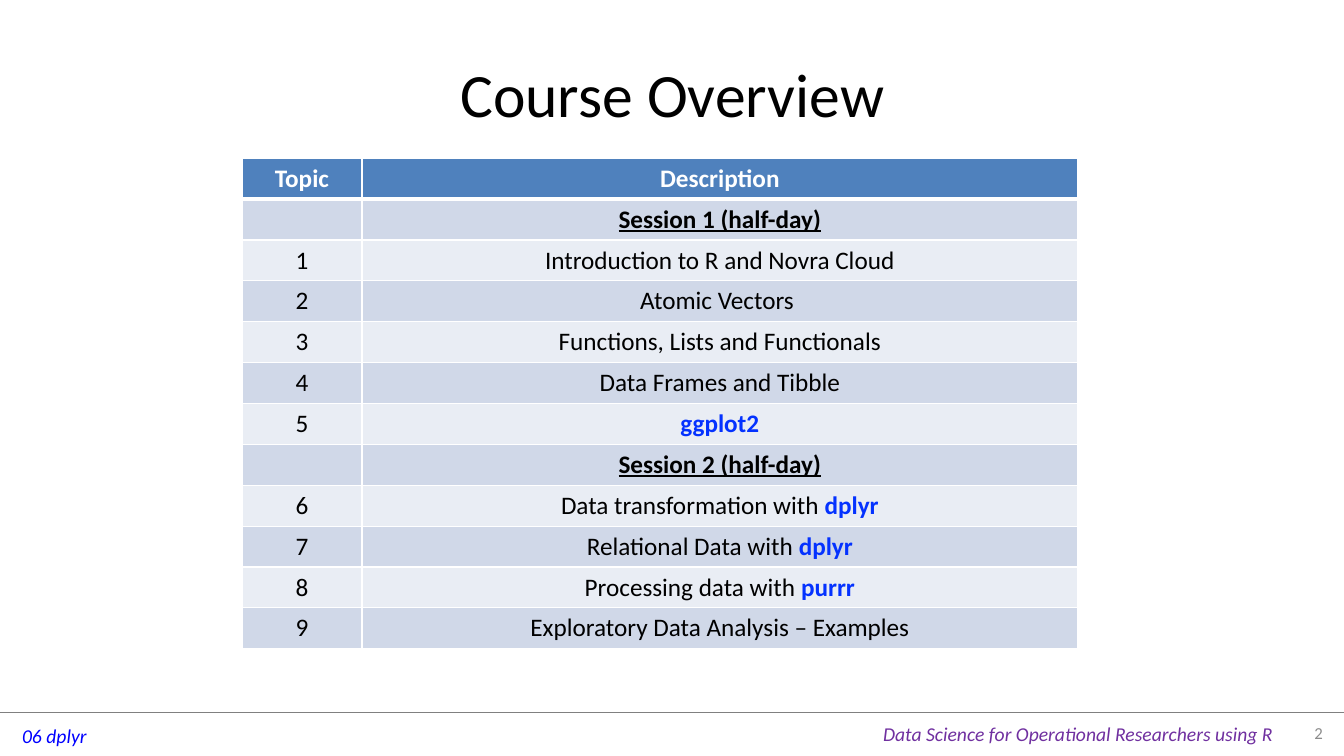
from lxml import etree
from pptx import Presentation
from pptx.dml.color import RGBColor
from pptx.enum.shapes import MSO_CONNECTOR
from pptx.enum.text import MSO_ANCHOR, MSO_AUTO_SIZE, PP_ALIGN
from pptx.oxml.ns import qn
from pptx.util import Inches, Pt

LEFT, CENTER, RIGHT = PP_ALIGN.LEFT, PP_ALIGN.CENTER, PP_ALIGN.RIGHT
TOP, MIDDLE = MSO_ANCHOR.TOP, MSO_ANCHOR.MIDDLE
GROW, FIXED = MSO_AUTO_SIZE.SHAPE_TO_FIT_TEXT, MSO_AUTO_SIZE.NONE
STRAIGHT = MSO_CONNECTOR.STRAIGHT

BLACK = RGBColor(0x00, 0x00, 0x00)
WHITE = RGBColor(0xFF, 0xFF, 0xFF)
GRAY = RGBColor(0x80, 0x80, 0x80)
PALE = RGBColor(0x8C, 0x8C, 0x8C)
BLUE = RGBColor(0x00, 0x00, 0xFF)
PURPLE = RGBColor(0x70, 0x30, 0xA0)
CODE = RGBColor(0x04, 0x32, 0xFF)
HEAD = RGBColor(0x4F, 0x81, 0xBD)
BANDS = RGBColor(0xD0, 0xD8, 0xE8), RGBColor(0xE9, 0xED, 0xF4)

# Kinds of text in the table
PLAIN = {"color": BLACK}
TOP_ROW = {"color": WHITE, "bold": True}
SESSION = {"color": BLACK, "bold": True, "underline": True}
PACKAGE = {"color": CODE, "bold": True}

ROWS = [
    ("Topic", [("Description", TOP_ROW)]),
    ("", [("Session 1 (half-day)", SESSION)]),
    ("1", [("Introduction to R and Novra Cloud", PLAIN)]),
    ("2", [("Atomic Vectors ", PLAIN)]),
    ("3", [("Functions, Lists and Functionals", PLAIN)]),
    ("4", [("Data Frames and Tibble", PLAIN)]),
    ("5", [("ggplot2", PACKAGE)]),
    ("", [("Session 2 (half-day)", SESSION)]),
    ("6", [("Data transformation with ", PLAIN), ("dplyr", PACKAGE)]),
    ("7", [("Relational Data with ", PLAIN), ("dplyr", PACKAGE)]),
    ("8", [("Processing data with ", PLAIN), ("purrr", PACKAGE)]),
    ("9", [("Exploratory Data Analysis – Examples", PLAIN)]),
]


class Page:
    """Holds the font and the current slide."""

    def __init__(self, deck, face):
        self.face = face
        self.slide = deck.slides.add_slide(deck.slide_layouts[5])
        self.shapes = self.slide.shapes

    def text(self, para, runs, size, align):
        para.alignment = align
        para.font.size = Pt(size)
        for words, look in runs:
            run = para.add_run()
            run.text = words
            font = run.font
            font.color.rgb = look["color"]
            style = {"name": self.face, "size": Pt(size), **look}
            del style["color"]
            for key, value in style.items():
                setattr(font, key, value)

    def title(self, words, box, size):
        shape = self.shapes.title
        for key, value in zip(("left", "top", "width", "height"), box):
            setattr(shape, key, Inches(value))
        shape.text_frame.vertical_anchor = MIDDLE
        self.text(shape.text_frame.paragraphs[0], [(words, PLAIN)], size, CENTER)

    def label(self, words, box, size, look, align=LEFT, anchor=TOP, wrap=False):
        frame = self.shapes.add_textbox(*map(Inches, box)).text_frame
        frame.word_wrap = wrap
        frame.auto_size = FIXED if wrap else GROW
        frame.vertical_anchor = anchor
        self.text(frame.paragraphs[0], [(words, look)], size, align)

    def rule(self, start, end, color, width):
        line = self.shapes.add_connector(STRAIGHT, *map(Inches, start + end))
        line.line.color.rgb = color
        line.line.width = Pt(width)
        etree.SubElement(line._element.spPr, qn("a:effectLst"))

    def edges(self, cell, color, widths):
        props = cell._tc.get_or_add_tcPr()
        for side, width in widths.items():
            edge = etree.SubElement(props, qn(f"a:ln{side}"), w=str(Pt(width)))
            fill = etree.SubElement(edge, qn("a:solidFill"))
            etree.SubElement(fill, qn("a:srgbClr"), val=str(color))

    def table(self, rows, box, cols, size):
        grid = self.shapes.add_table(len(rows), len(cols), *map(Inches, box)).table
        grid.horz_banding = False
        for col, width in zip(grid.columns, cols):
            col.width = Inches(width)
        for i, (topic, runs) in enumerate(rows):
            grid.rows[i].height = Inches(box[3] / len(rows))
            first = [(topic, PLAIN if i else TOP_ROW)] if topic else []
            for j, parts in enumerate((first, runs)):
                cell = grid.cell(i, j)
                above = 3 if i == 1 else 1
                below = 1 if i else 3
                self.edges(cell, WHITE, {"L": 1, "R": 1, "T": above, "B": below})
                cell.fill.solid()
                cell.fill.fore_color.rgb = BANDS[(i - 1) % 2] if i else HEAD
                self.text(cell.text_frame.paragraphs[0], parts, size, CENTER)


def main():
    deck = Presentation()
    deck.slide_width, deck.slide_height = Inches(13.33), Inches(7.5)
    page = Page(deck, "Calibri")

    # Title and course table
    page.title("Course Overview", (0.67, 0.3, 12, 1.25), 44)
    page.table(ROWS, (2.4, 1.57, 8.29, 4.87), (1.19, 7.1), 18)

    # Footer
    page.rule((0, 7.07), (13.33, 7.07), GRAY, 0.25)
    page.label("06 dplyr", (0.12, 7.13, 0.85, 0.34), 14,
               {"color": BLUE, "italic": True})
    page.label("Data Science for Operational Researchers using R",
               (8.66, 7.11, 4.11, 0.34), 14, {"color": PURPLE, "italic": True})
    page.label("2", (12.67, 7.07, 0.55, 0.39), 12, {"color": PALE},
               RIGHT, MIDDLE, True)

    deck.save("out.pptx")


if __name__ == "__main__":
    main()
